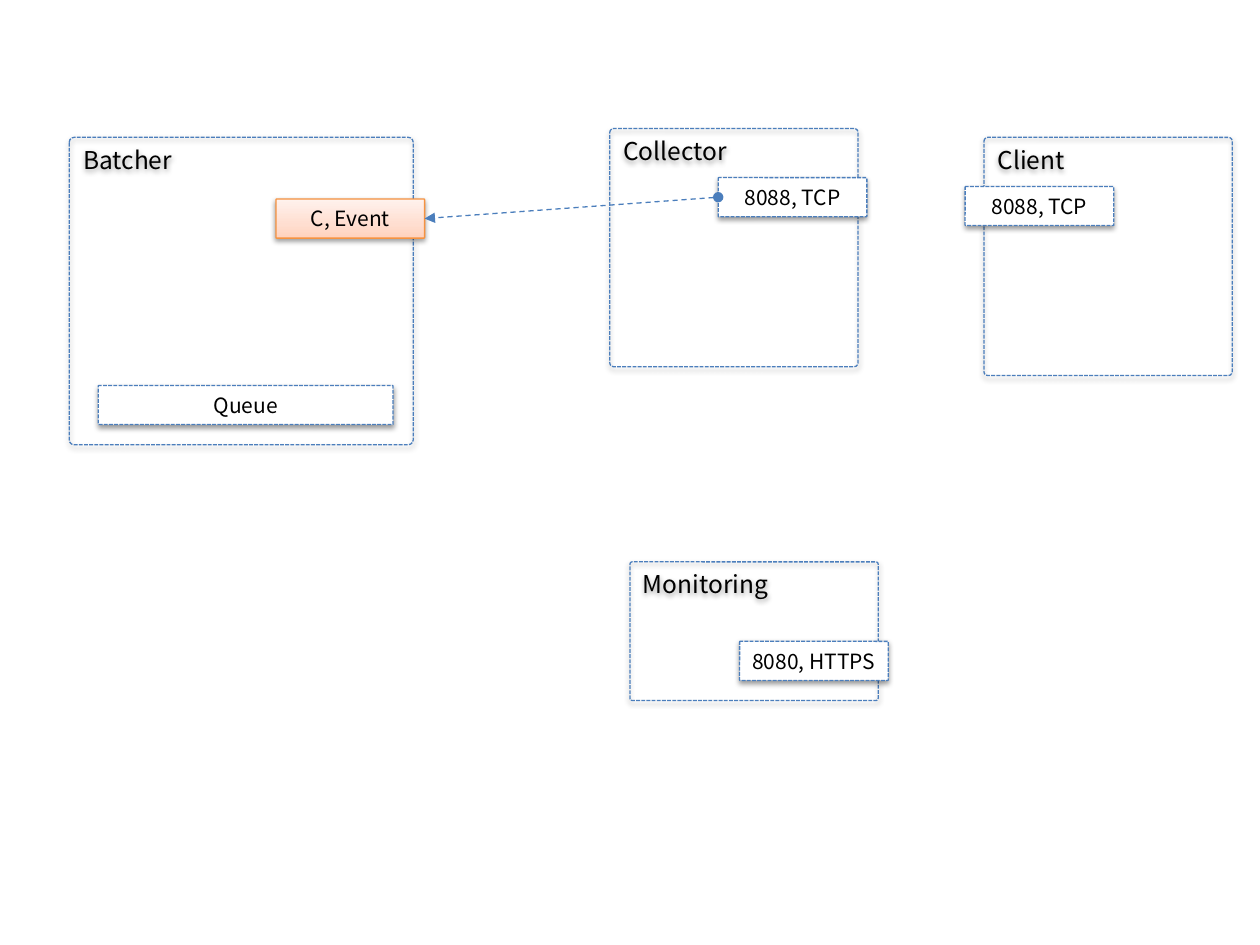
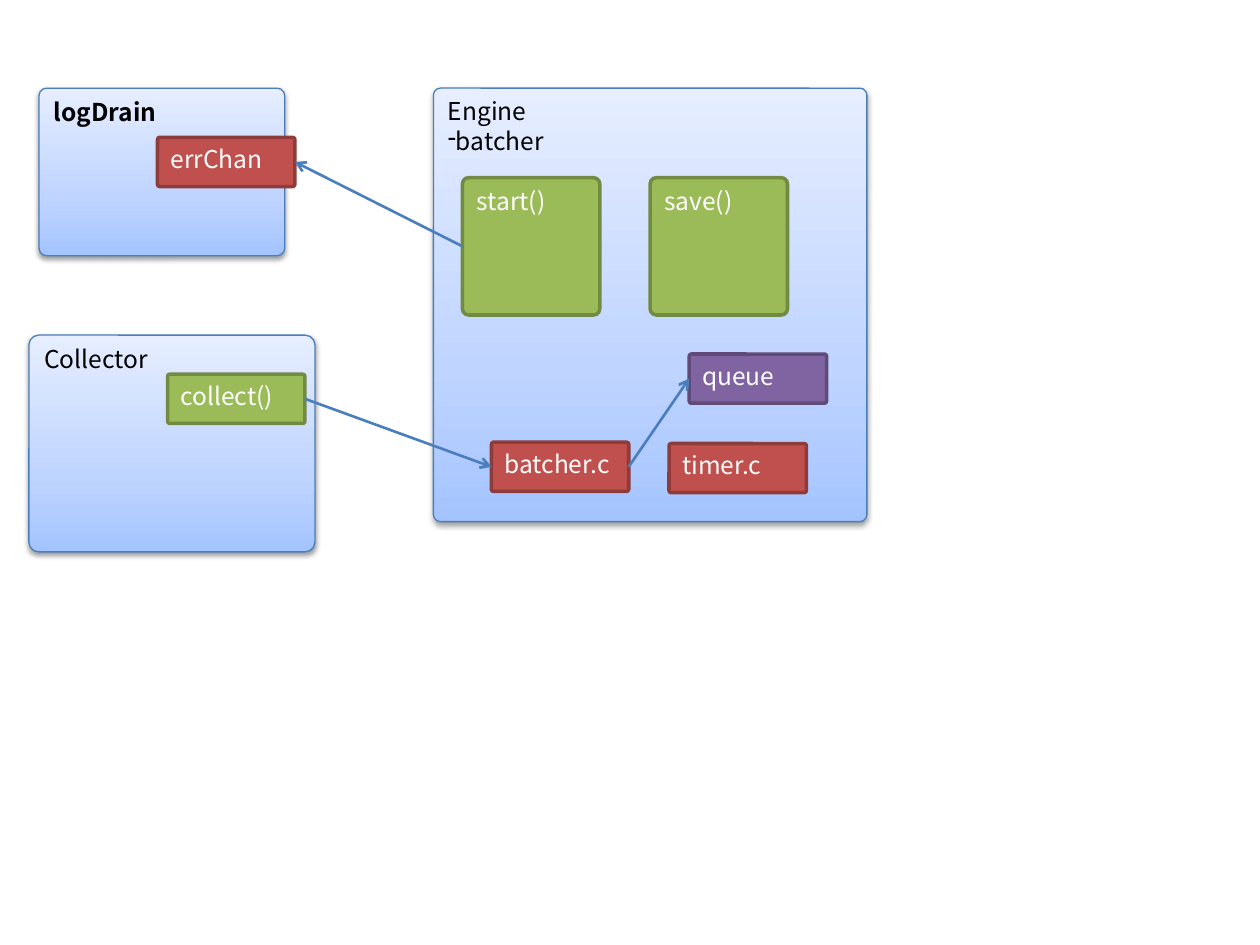
from copy import deepcopy
from lxml.etree import SubElement
from pptx import Presentation
from pptx.dml.color import RGBColor
from pptx.enum.dml import MSO_LINE_DASH_STYLE as DASH
from pptx.enum.shapes import MSO_CONNECTOR, MSO_SHAPE
from pptx.enum.text import MSO_ANCHOR, PP_ALIGN
from pptx.oxml.ns import qn
from pptx.util import Inches, Pt

FONT = "Noto Sans CJK KR"
C = {"blue": "4B7EBC", "orange": "F69240", "black": "000000", "white": "FFFFFF",
     "red": "C0504D", "red_edge": "8E3B39", "green": "9BBB59", "green_edge": "738A42",
     "purple": "8064A2", "purple_edge": "5F4A78"}
GRADIENTS = {"sky": ["A4C4FF", "BFD4FF", "E6EEFF"],
             "peach": ["FFD2BD", "FFDED0", "FFF2ED"]}

BASE = {"fill": None, "line": "blue", "width": 0.75, "dash": None, "shadow": True,
        "size": 14, "color": "black", "bold": False, "center": False, "adj": 0.016}
FRAME = {**BASE, "dash": DASH.SQUARE_DOT}
PORT = {**FRAME, "fill": "white", "size": 12, "center": True}
EVENT = {**PORT, "fill": "peach", "line": "orange", "dash": None}
ENGINE = {**BASE, "fill": "sky"}
PANEL = {**ENGINE, "adj": 0.045}
BLOCK = {**PANEL, "width": 2, "color": "white", "shadow": False}
RED, GREEN, PURPLE = [{**BLOCK, "fill": c, "line": c + "_edge"}
                      for c in ("red", "green", "purple")]


def add_box(slide, text, x, y, w, h, style):
    sp = slide.shapes.add_shape(MSO_SHAPE.ROUNDED_RECTANGLE,
                                Inches(x), Inches(y), Inches(w), Inches(h))
    sp.adjustments[0] = style["adj"]
    fill = style["fill"]
    if fill is None:
        sp.fill.background()
    elif fill in GRADIENTS:
        sp.fill.gradient()
        sp.fill.gradient_angle = 90
        stops = sp._element.spPr.find(".//" + qn("a:gsLst"))
        stops.append(deepcopy(stops[0]))
        for stop, pos, color in zip(sp.fill.gradient_stops, (0, 0.35, 1), GRADIENTS[fill]):
            stop.position = pos
            stop.color.rgb = RGBColor.from_string(color)
    else:
        sp.fill.solid()
        sp.fill.fore_color.rgb = RGBColor.from_string(C[fill])
    sp.line.color.rgb = RGBColor.from_string(C[style["line"]])
    sp.line.width = Pt(style["width"])
    if style["dash"]:
        sp.line.dash_style = style["dash"]
    sp.shadow.inherit = False
    if style["shadow"]:
        effects = sp._element.spPr.find(qn("a:effectLst"))
        shadow = SubElement(effects, qn("a:outerShdw"), blurRad=str(Pt(3.1)),
                            dist=str(Pt(1.6)), dir="5400000", rotWithShape="0")
        black = SubElement(shadow, qn("a:srgbClr"), val=C["black"])
        SubElement(black, qn("a:alpha"), val="38000")
    tf = sp.text_frame
    tf.word_wrap = not style["center"]
    tf.vertical_anchor = MSO_ANCHOR.MIDDLE if style["center"] else MSO_ANCHOR.TOP
    tf.text = text
    font = {"name": FONT, "size": Pt(style["size"]), "bold": style["bold"]}
    for p in tf.paragraphs:
        p.alignment = PP_ALIGN.CENTER if style["center"] else PP_ALIGN.LEFT
        for r in p.runs:
            for key, value in font.items():
                setattr(r.font, key, value)
            r.font.color.rgb = RGBColor.from_string(C[style["color"]])
    return sp


def add_link(slide, start, start_site, end, end_site, width, tail, head=None, dash=None):
    cx = slide.shapes.add_connector(MSO_CONNECTOR.STRAIGHT, 0, 0, 0, 0)
    cx.begin_connect(start, start_site)
    cx.end_connect(end, end_site)
    cx.line.color.rgb = RGBColor.from_string(C["blue"])
    cx.line.width = Pt(width)
    if dash:
        cx.line.dash_style = dash
    ln = cx.line._get_or_add_ln()
    for tag, kind in (("a:headEnd", head), ("a:tailEnd", tail)):
        if kind:
            SubElement(ln, qn(tag), type=kind)
    SubElement(cx._element.spPr, qn("a:effectLst"))


LEFT, RIGHT = 1, 3

prs = Presentation()
prs.slide_width, prs.slide_height = Inches(10), Inches(7.5)
blank = prs.slide_layouts[6]

s = prs.slides.add_slide(blank)
for text, x, y, w, h in [("Collector", 4.84, 1.02, 1.97, 1.89),
                         ("Batcher", 0.55, 1.09, 2.73, 2.44),
                         ("Monitoring", 5, 4.46, 1.97, 1.1),
                         ("Client", 7.81, 1.09, 1.97, 1.89)]:
    add_box(s, text, x, y, w, h, FRAME)
collector_port = add_box(s, "8088, TCP", 5.7, 1.41, 1.18, 0.31, PORT)
event = add_box(s, "C, Event", 2.19, 1.58, 1.18, 0.31, EVENT)
for text, x, y, w in [("8080, HTTPS", 5.87, 5.09, 1.18),
                      ("Queue", 0.78, 3.06, 2.34),
                      ("8088, TCP", 7.66, 1.48, 1.18)]:
    add_box(s, text, x, y, w, 0.31, PORT)
add_link(s, collector_port, LEFT, event, RIGHT, 0.75, "triangle", "oval", DASH.DASH)

s = prs.slides.add_slide(blank)
engine = add_box(s, "Engine\nbatcher", 3.44, 0.7, 3.44, 3.44, ENGINE)
pPr = engine.text_frame.paragraphs[1]._p.get_or_add_pPr()
pPr.set("marL", "0")
pPr.set("indent", "0")
SubElement(pPr, qn("a:buChar"), char="-")
add_box(s, "logDrain", 0.31, 0.7, 1.95, 1.33, {**PANEL, "bold": True})
add_box(s, "Collector", 0.23, 2.66, 2.27, 1.72, PANEL)
blocks = {}
for text, x, y, h, style in [("errChan", 1.25, 1.09, 0.39, RED),
                             ("timer.c", 5.31, 3.52, 0.39, RED),
                             ("batcher.c", 3.9, 3.51, 0.39, RED),
                             ("start()", 3.67, 1.41, 1.09, GREEN),
                             ("collect()", 1.33, 2.97, 0.39, GREEN),
                             ("save()", 5.16, 1.41, 1.09, GREEN),
                             ("queue", 5.47, 2.81, 0.39, PURPLE)]:
    blocks[text] = add_box(s, text, x, y, 1.09, h, style)
for start, start_site, end, end_site in [("start()", LEFT, "errChan", RIGHT),
                                         ("collect()", RIGHT, "batcher.c", LEFT),
                                         ("batcher.c", RIGHT, "queue", LEFT)]:
    add_link(s, blocks[start], start_site, blocks[end], end_site, 1.5, "arrow")

prs.save("out.pptx")
